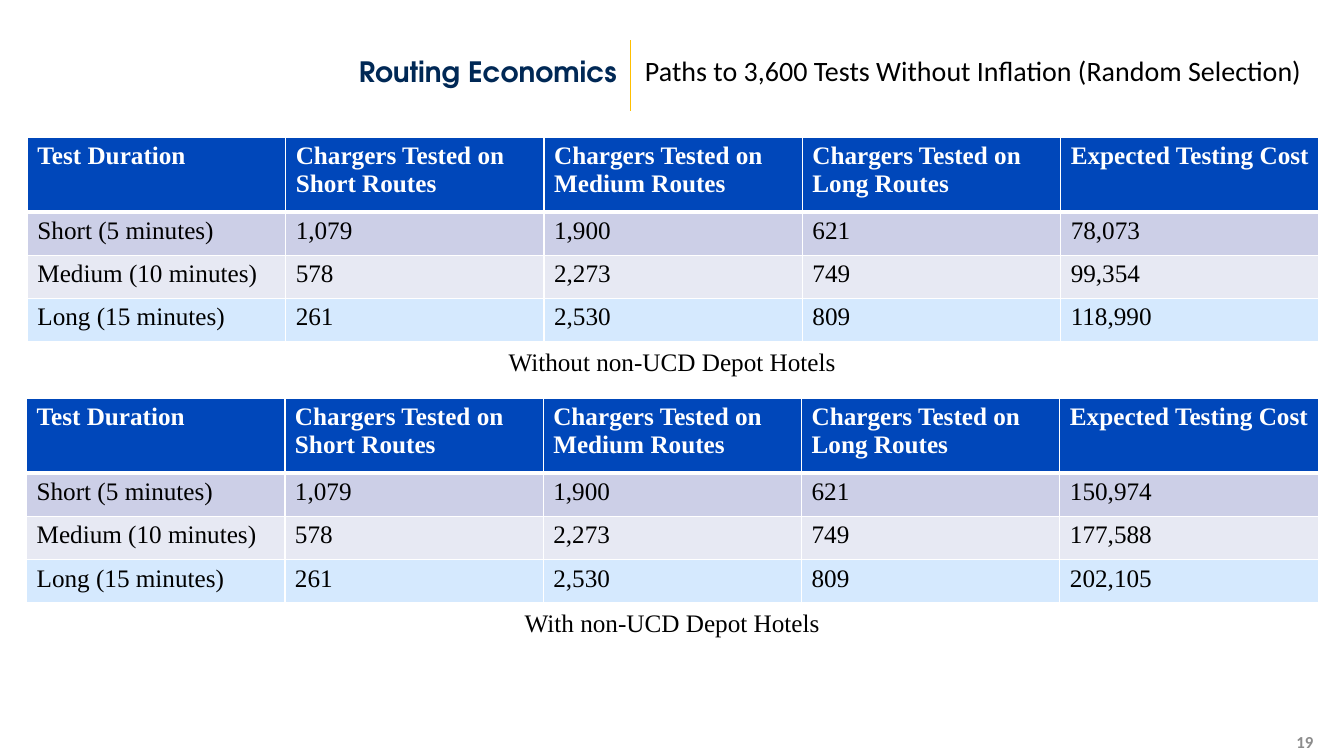
from lxml.etree import SubElement
from pptx import Presentation
from pptx.dml.color import RGBColor
from pptx.enum.shapes import MSO_CONNECTOR as Connector
from pptx.enum.text import MSO_ANCHOR as Anchor, MSO_AUTO_SIZE as AutoSize, PP_ALIGN as Align
from pptx.oxml.ns import qn
from pptx.util import Cm, Pt

TOPIC = "Routing Economics"
SUBTITLE = "Paths to 3,600 Tests Without Inflation (Random Selection)"
PAGE = "19"
HEADINGS = ["Test Duration", "Chargers Tested on Short Routes",
            "Chargers Tested on Medium Routes", "Chargers Tested on Long Routes",
            "Expected Testing Cost"]
TESTS = [
    ("Short (5 minutes)", "1,079", "1,900", "621"),
    ("Medium (10 minutes)", "578", "2,273", "749"),
    ("Long (15 minutes)", "261", "2,530", "809"),
]
SCENARIOS = [
    {"caption": "Without non-UCD Depot Hotels", "costs": ["78,073", "99,354", "118,990"],
     "left": 0.69, "top": 3.46},
    {"caption": "With non-UCD Depot Hotels", "costs": ["150,974", "177,588", "202,105"],
     "left": 0.67, "top": 10.04},
]
COLORS = {"navy": "002855", "gold": "FFBF00", "black": "000000", "white": "FFFFFF",
          "gray": "8C8C8C", "header": "0047BA"}
BANDS = ["CCCFE7", "E7E9F3", "D5E9FE"]
SERIF = "Times New Roman"
COLUMN_WIDTH, HEADER_HEIGHT, ROW_HEIGHT = 6.51, 1.88, 1.09
CAPTION_CENTER, CAPTION_WIDTH = 16.94, 9.2


def color(hex_value):
    return RGBColor.from_string(hex_value)


def write(frame, text, font=SERIF, size=18, ink="black", bold=False, align=Align.LEFT,
          anchor=Anchor.TOP, spacing=None, before=0):
    frame.word_wrap = True
    frame.vertical_anchor = anchor
    paragraph = frame.paragraphs[0]
    paragraph.alignment = align
    paragraph.line_spacing = spacing
    paragraph.space_before = Pt(before)
    run = paragraph.add_run()
    run.text = text
    run.font.name, run.font.size, run.font.bold = font, Pt(size), bold
    run.font.color.rgb = color(COLORS[ink])


def place(shape, left, top, width, height):
    shape.left, shape.top, shape.width, shape.height = map(Cm, (left, top, width, height))


def add_borders(cell, row):
    widths = {"L": 1, "R": 1, "T": 3 if row == 1 else 1, "B": 3 if row == 0 else 1}
    properties = cell._tc.get_or_add_tcPr()
    for side, width in widths.items():
        border = SubElement(properties, qn(f"a:ln{side}"), w=str(Pt(width)))
        SubElement(SubElement(border, qn("a:solidFill")), qn("a:srgbClr"), val=COLORS["white"])


def add_scenario(slide, caption, costs, left, top):
    rows = [HEADINGS] + [[*test, cost] for test, cost in zip(TESTS, costs)]
    heights = [HEADER_HEIGHT] + [ROW_HEIGHT] * len(TESTS)
    table = slide.shapes.add_table(
        len(rows), len(HEADINGS), Cm(left), Cm(top),
        Cm(COLUMN_WIDTH * len(HEADINGS)), Cm(sum(heights))).table
    for column in table.columns:
        column.width = Cm(COLUMN_WIDTH)
    for r, (values, height, fill) in enumerate(zip(rows, heights, [COLORS["header"], *BANDS])):
        table.rows[r].height = Cm(height)
        for c, value in enumerate(values):
            cell = table.cell(r, c)
            add_borders(cell, r)
            cell.fill.solid()
            cell.fill.fore_color.rgb = color(fill)
            write(cell.text_frame, value, ink="black" if r else "white", bold=r == 0)
    label = slide.shapes.add_textbox(
        Cm(CAPTION_CENTER - CAPTION_WIDTH / 2), Cm(top + sum(heights)), Cm(CAPTION_WIDTH), Cm(1.02))
    write(label.text_frame, caption, align=Align.CENTER)


def main():
    deck = Presentation()
    deck.slide_width, deck.slide_height = Cm(33.87), Cm(19.05)
    slide = deck.slides.add_slide(deck.slide_layouts[1])

    divider = slide.shapes.add_connector(
        Connector.STRAIGHT, Cm(15.9), Cm(1.02), Cm(15.9), Cm(2.8))
    divider.line.color.rgb = color(COLORS["gold"])
    divider.line.width = Pt(0.75)
    SubElement(divider._element.spPr, qn("a:effectLst"))

    topic, subtitle = slide.shapes.title, slide.placeholders[1]
    place(topic, 0.69, 0.89, 15.11, 1.9)
    place(subtitle, 16, 0.89, 17.07, 1.9)
    for heading in (topic, subtitle):
        heading.text_frame.auto_size = AutoSize.NONE
    topic.text_frame.margin_left = Cm(1.52)
    write(topic.text_frame, TOPIC, font="TeX Gyre Adventor", size=20, ink="navy", bold=True,
          align=Align.RIGHT, anchor=Anchor.MIDDLE, spacing=0.9, before=10)
    write(subtitle.text_frame, SUBTITLE, font="Calibri", size=20, anchor=Anchor.MIDDLE, spacing=0.8)
    bullet = subtitle.text_frame.paragraphs[0]._p.get_or_add_pPr()
    bullet.set("marL", "0")
    bullet.set("indent", "0")
    SubElement(bullet, qn("a:buNone"))

    for scenario in SCENARIOS:
        add_scenario(slide, **scenario)

    page = slide.shapes.add_textbox(Cm(25.73), Cm(18.34), Cm(7.62), Cm(0.71))
    write(page.text_frame, PAGE, font="Calibri", size=12, ink="gray", bold=True,
          align=Align.RIGHT, anchor=Anchor.MIDDLE)
    deck.save("out.pptx")


if __name__ == "__main__":
    main()
